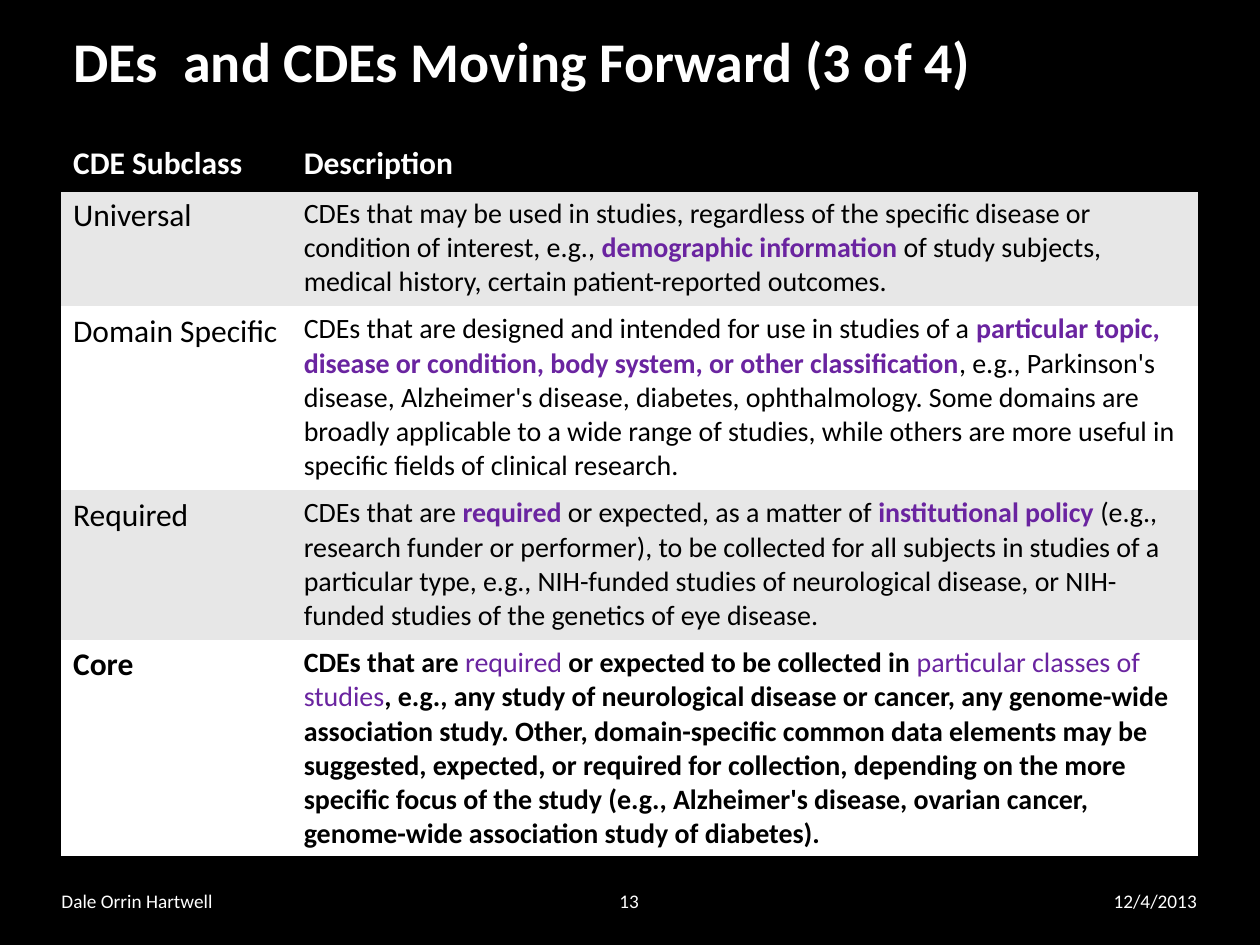
from lxml import etree
from pptx import Presentation
from pptx.dml.color import RGBColor
from pptx.enum.text import MSO_ANCHOR, PP_ALIGN
from pptx.oxml.ns import qn
from pptx.util import Cm, Pt

LEFT, CENTER, RIGHT = PP_ALIGN.LEFT, PP_ALIGN.CENTER, PP_ALIGN.RIGHT
MIDDLE = MSO_ANCHOR.MIDDLE
BLACK = RGBColor(0x00, 0x00, 0x00)
WHITE = RGBColor(0xFF, 0xFF, 0xFF)
GREY = RGBColor(0xE7, 0xE7, 0xE7)
PURPLE = RGBColor(0x6A, 0x24, 0xA0)
FONT = "Calibri"
NO_GRID_STYLE = "{2D5ABB26-0587-4C30-8999-92F81FD0307C}"

COL_WIDTHS = (4.65, 18.29)
ROW_HEIGHTS = (1.05, 2.28, 3.71, 3.02, 4.35)
HEADINGS = ("CDE Subclass", "Description")
SUBCLASSES = [
    ("Universal", [
        "CDEs that may be used in studies, regardless of the specific disease or "
        "condition of interest, e.g., ",
        "demographic information",
        " of study subjects, medical history, certain patient-reported outcomes."]),
    ("Domain Specific", [
        "CDEs that are designed and intended for use in studies of a ",
        "particular topic, disease or condition, body system, or other classification",
        ", e.g., Parkinson's disease, Alzheimer's disease, diabetes, ophthalmology. "
        "Some domains are broadly applicable to a wide range of studies, while others "
        "are more useful in specific fields of clinical research."]),
    ("Required", [
        "CDEs that are ",
        "required",
        " or expected, as a matter of ",
        "institutional policy ",
        "(e.g., research funder or performer), to be collected for all subjects in "
        "studies of a particular type, e.g., NIH-funded studies of neurological "
        "disease, or NIH-funded studies of the genetics of eye disease."]),
    ("Core", [
        "CDEs that are ",
        "required ",
        "or expected to be collected in ",
        "particular classes of studies",
        ", e.g., any study of neurological disease or cancer, any genome-wide "
        "association study. Other, domain-specific common data elements may be "
        "suggested, expected, or required for collection, depending on the more "
        "specific focus of the study (e.g., Alzheimer's disease, ovarian cancer, "
        "genome-wide association study of diabetes)."]),
]
FOOTERS = [
    ("Dale Orrin Hartwell", 0, 8.05, LEFT),
    ("13", 10.64, 2.11, CENTER),
    ("12/4/2013", 17.47, 5.92, RIGHT),
]


def add_run(p, text, size, color, bold=False):
    """Append one formatted run to a paragraph."""
    r = p.add_run()
    r.text = text
    r.font.name = FONT
    r.font.size = Pt(size)
    r.font.bold = bold
    r.font.color.rgb = color


def add_rule(cell, side):
    """Draw a black two-point border on one side of a cell."""
    ln = etree.SubElement(cell._tc.get_or_add_tcPr(), qn(f"a:{side}"), w=str(Pt(2)))
    fill = etree.SubElement(ln, qn("a:solidFill"))
    etree.SubElement(fill, qn("a:srgbClr"), val=str(BLACK))


def fill_cell(cell, color):
    """Give a cell a solid background."""
    cell.fill.solid()
    cell.fill.fore_color.rgb = color


def add_title(s, left, top, width, height):
    """Place and fill the title placeholder."""
    sp = s.shapes.title
    sp.left, sp.top, sp.width, sp.height = Cm(left), Cm(top), Cm(width), Cm(height)
    sp.text_frame.vertical_anchor = MIDDLE
    p = sp.text_frame.paragraphs[0]
    p.alignment = LEFT
    add_run(p, "DEs  and CDEs Moving Forward (3 of 4)", 32, WHITE, True)


def add_subclass_table(s, left, top):
    """Build the table of CDE subclasses."""
    frame = s.shapes.add_table(len(ROW_HEIGHTS), len(COL_WIDTHS), Cm(left), Cm(top),
                               Cm(sum(COL_WIDTHS)), Cm(sum(ROW_HEIGHTS)))
    table = frame.table
    table._tbl.tblPr.find(qn("a:tableStyleId")).text = NO_GRID_STYLE
    for column, width in zip(table.columns, COL_WIDTHS):
        column.width = Cm(width)
    for row, height in zip(table.rows, ROW_HEIGHTS):
        row.height = Cm(height)

    for col, heading in enumerate(HEADINGS):
        cell = table.cell(0, col)
        add_rule(cell, "lnT")
        add_rule(cell, "lnB")
        fill_cell(cell, BLACK)
        add_run(cell.text_frame.paragraphs[0], heading, 18, WHITE, True)

    for row, (name, parts) in enumerate(SUBCLASSES, 1):
        last = row == len(SUBCLASSES)
        cells = table.cell(row, 0), table.cell(row, 1)
        for cell in cells:
            if last:
                add_rule(cell, "lnB")
            fill_cell(cell, GREY if row % 2 else WHITE)
        name_p, text_p = (cell.text_frame.paragraphs[0] for cell in cells)
        add_run(name_p, name, 18, BLACK, last)
        for i, part in enumerate(parts):
            key = i % 2 == 1
            add_run(text_p, part, 16, PURPLE if key else BLACK, key != last)


def add_footer(s, left, top, height):
    """Place the owner, the slide number and the date along the bottom."""
    for text, offset, width, align in FOOTERS:
        sp = s.shapes.add_textbox(Cm(left + offset), Cm(top), Cm(width), Cm(height))
        tf = sp.text_frame
        tf.word_wrap = True
        tf.vertical_anchor = MIDDLE
        p = tf.paragraphs[0]
        p.alignment = align
        add_run(p, text, 11, WHITE)


def main():
    """Build and save the slide."""
    prs = Presentation()
    prs.slide_width, prs.slide_height = Cm(25.4), Cm(19.05)
    s = prs.slides.add_slide(prs.slide_layouts[5])
    s.background.fill.solid()
    s.background.fill.fore_color.rgb = BLACK
    add_title(s, 1.22, 0.25, 22.94, 1.93)
    add_subclass_table(s, 1.22, 2.79)
    add_footer(s, 0.99, 17.65, 1.02)
    prs.save("out.pptx")


if __name__ == "__main__":
    main()
